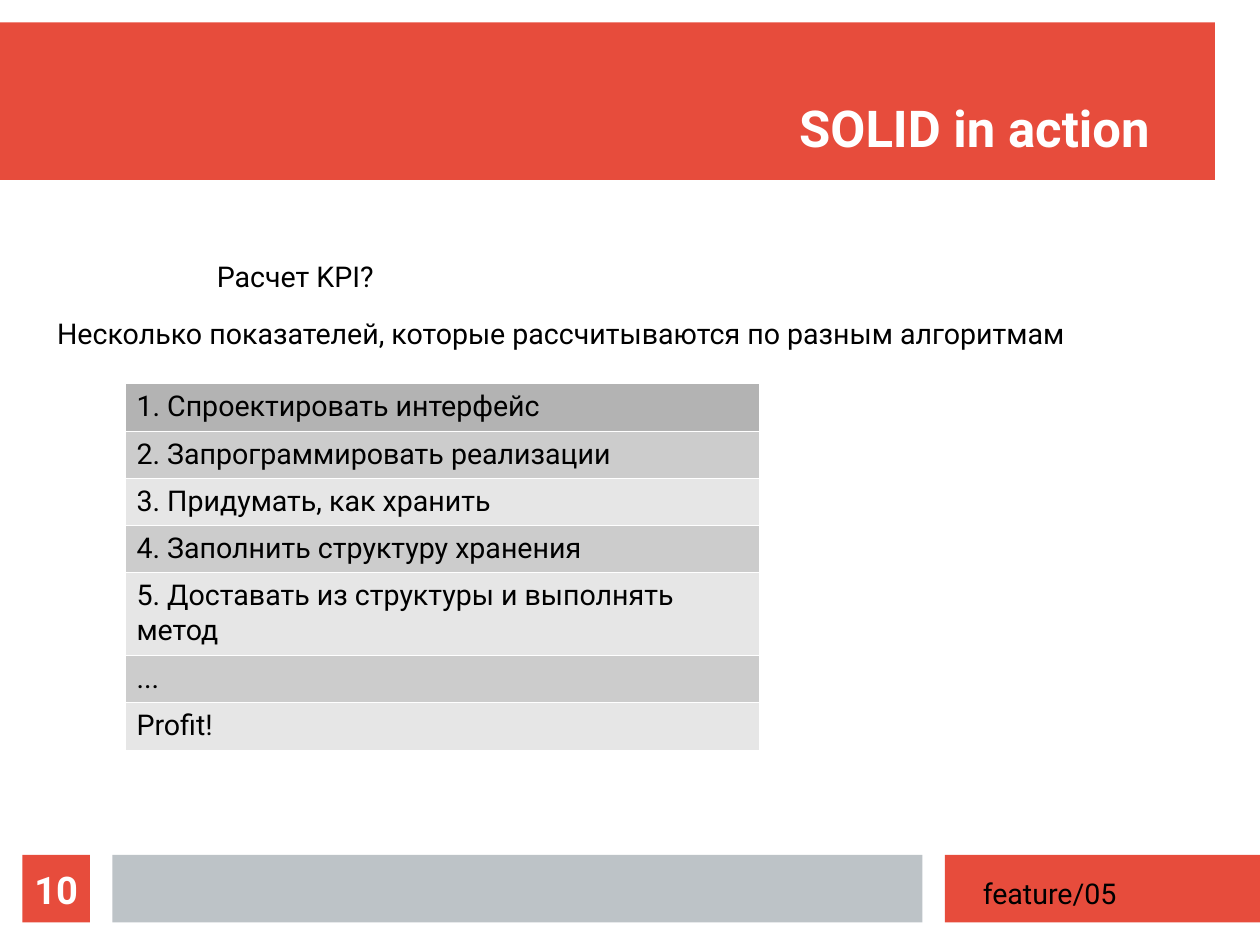
from typing import NamedTuple

from lxml import etree
from pptx import Presentation
from pptx.dml.color import RGBColor
from pptx.enum.shapes import MSO_SHAPE
from pptx.enum.text import MSO_ANCHOR, PP_ALIGN
from pptx.oxml.ns import qn
from pptx.util import Cm, Pt

RECT = MSO_SHAPE.RECTANGLE
LEFT, CENTER = PP_ALIGN.LEFT, PP_ALIGN.CENTER
BOTTOM, MIDDLE = MSO_ANCHOR.BOTTOM, MSO_ANCHOR.MIDDLE
FONT = "Roboto"
RED, GREY, BLACK, WHITE = "E74C3C", "BDC3C7", "000000", "FFFFFF"
HEAD, DARK, LIGHT = "B3B3B3", "CCCCCC", "E6E6E6"


class Bar(NamedTuple):
    left: float
    top: float
    width: float
    height: float
    fill: str


class Label(NamedTuple):
    left: float
    top: float
    width: float
    text: str


BARS = [
    Bar(0, 0.5, 27, 3.5, RED),
    Bar(21, 19, 7, 1.5, RED),
    Bar(2.5, 19, 18, 1.5, GREY),
]
BADGE = Bar(0.5, 19, 1.5, 1.5, RED)
LABELS = [
    Label(21.59, 19.3, 3.48, "feature/05"),
    Label(4.57, 5.59, 4, "Расчет KPI?"),
    Label(1.02, 6.86, 22.9,
          "Несколько показателей, которые рассчитываются по разным алгоритмам"),
]
STEPS = [
    "1. Спроектировать интерфейс",
    "2. Запрограммировать реализации",
    "3. Придумать, как хранить",
    "4. Заполнить структуру хранения",
    "5. Доставать из структуры и выполнять метод",
    "...",
    "Profit!",
]
LONG = 4  # the step that takes two lines


def paint(target, color: str) -> None:
    target.solid()
    target.fore_color.rgb = RGBColor.from_string(color)


def write(frame, text: str, size: float = 18, color: str = BLACK,
          bold: bool = False, align=LEFT) -> None:
    frame.text = text
    para = frame.paragraphs[0]
    para.alignment = align
    para.line_spacing = 1.04
    font = para.runs[0].font
    font.name, font.size, font.bold = FONT, Pt(size), bold
    font.color.rgb = RGBColor.from_string(color)


def inset(frame, anchor) -> None:
    frame.margin_left = frame.margin_right = 0
    frame.margin_top = frame.margin_bottom = 0
    frame.vertical_anchor = anchor


def add_bar(slide, bar: Bar):
    shape = slide.shapes.add_shape(RECT, *(Cm(n) for n in bar[:4]))
    shape.shadow.inherit = False
    paint(shape.fill, bar.fill)
    shape.line.fill.background()
    return shape


def add_label(slide, label: Label) -> None:
    box = slide.shapes.add_textbox(
        Cm(label.left), Cm(label.top), Cm(label.width), Cm(1.05))
    box.text_frame.word_wrap = False
    write(box.text_frame, label.text)


def edge(cell) -> None:
    props = cell._tc.get_or_add_tcPr()
    for spot, side in enumerate(("lnL", "lnR", "lnT", "lnB")):
        line = etree.Element(qn(f"a:{side}"), w=str(Pt(0.06)))
        fill = etree.SubElement(line, qn("a:solidFill"))
        etree.SubElement(fill, qn("a:srgbClr"), val=WHITE)
        props.insert(spot, line)


def add_steps(slide) -> None:
    frame = slide.shapes.add_table(
        len(STEPS), 1, Cm(2.78), Cm(8.52), Cm(14.09), Cm(8.14))
    table = frame.table
    for i, step in enumerate(STEPS):
        table.rows[i].height = Cm(1.84 if i == LONG else 1.05)
        cell = table.cell(i, 0)
        write(cell.text_frame, step)
        paint(cell.fill, HEAD if i == 0 else DARK if i % 2 else LIGHT)
        edge(cell)


def main() -> None:
    deck = Presentation()
    deck.slide_width, deck.slide_height = Cm(28), Cm(21)
    slide = deck.slides.add_slide(deck.slide_layouts[5])
    title = slide.shapes.title

    # Bars lie behind the title
    for bar in BARS:
        title._element.addprevious(add_bar(slide, bar)._element)

    # Title
    title.left, title.top = Cm(17.76), Cm(1)
    title.width, title.height = Cm(8.92), Cm(2.5)
    inset(title.text_frame, BOTTOM)
    write(title.text_frame, "SOLID in action", 32, WHITE, True)

    # Body
    for label in LABELS:
        add_label(slide, label)
    add_steps(slide)

    # Slide number
    badge = add_bar(slide, BADGE)
    inset(badge.text_frame, MIDDLE)
    write(badge.text_frame, "10", 24, WHITE, True, CENTER)

    deck.save("out.pptx")


if __name__ == "__main__":
    main()
